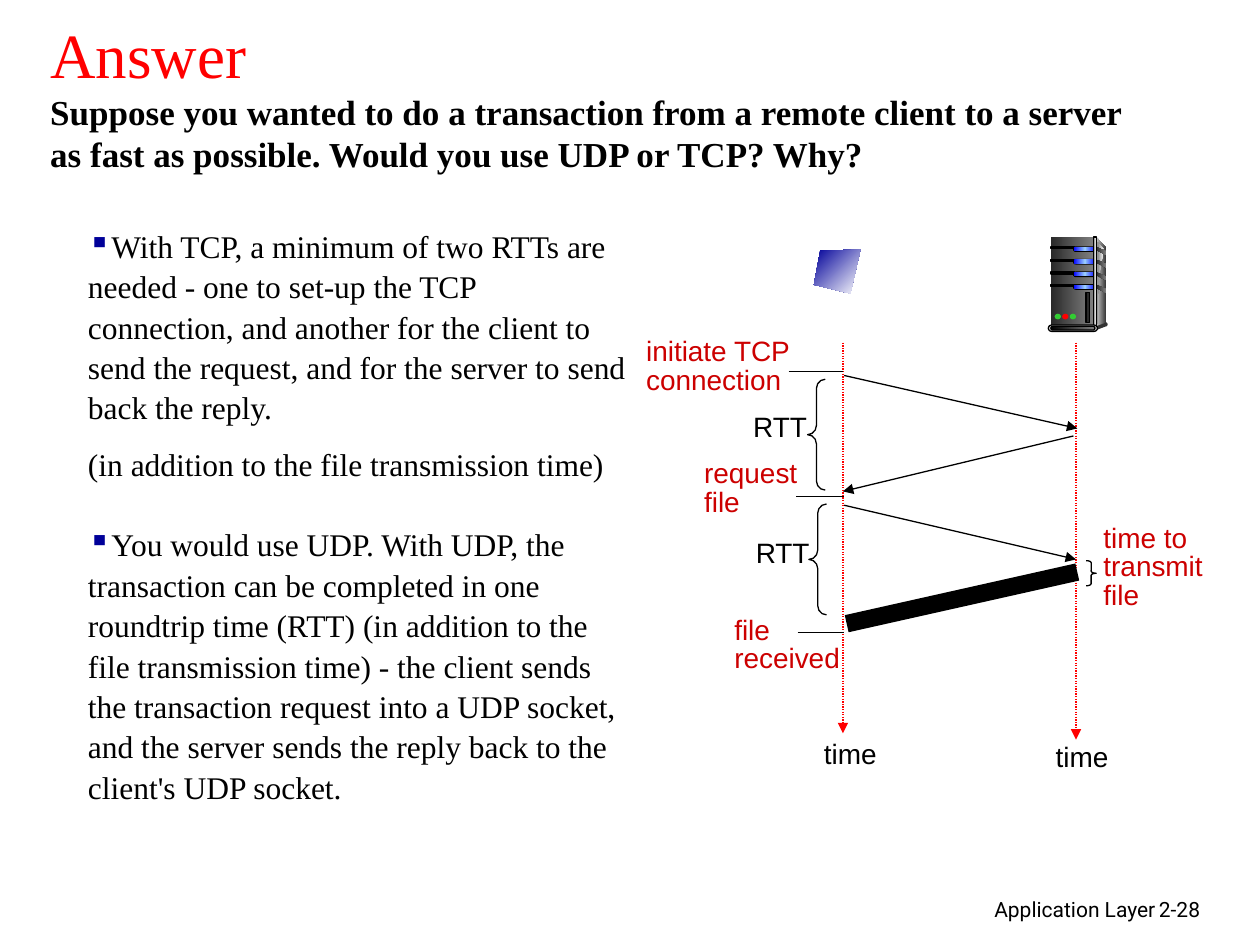
import dataclasses

import lxml.etree
import pptx
import pptx.dml.color
import pptx.enum.dml
import pptx.enum.shapes
import pptx.enum.text
import pptx.oxml.ns
import pptx.util

SHAPE = pptx.enum.shapes.MSO_SHAPE
ALIGN = pptx.enum.text.PP_ALIGN
qn = pptx.oxml.ns.qn


@dataclasses.dataclass(frozen=True)
class Theme:
    serif: str = "Times New Roman"
    sans: str = "Arial"
    footer_font: str = "Roboto"
    title: float = 36
    question: float = 20
    body: float = 18
    label: float = 16
    footer: float = 12
    hairline: float = 0.75
    ink: str = "000000"
    red: str = "FF0000"
    label_red: str = "CC0000"
    navy: str = "000099"
    green: str = "33CC33"
    dark: str = "333333"
    light: str = "DDDDDD"
    steel: tuple = ("292929", "808080")
    panel: tuple = ("DDDDDD", "333333")
    sheen: tuple = ("808080", "F8F8F8")
    base: tuple = ("000000", "808080")
    edge: tuple = ("333333", "DDDDDD", "333333")
    lamp: tuple = ("0000FF", "99CCFF", "0000FF")
    screen: tuple = ("000099", "FFFFFF")


T = Theme()


def grid(n):
    """Return the length of n cells of a grid of 100 columns by 75 rows."""
    return pptx.util.Inches(n / 10)


def rgb(color):
    """Return a colour object for a hex string."""
    return pptx.dml.color.RGBColor.from_string(color)


def add_run(p, text, font, size, color=T.ink, bold=False):
    """Add one formatted run to a paragraph."""
    r = p.add_run()
    r.text = text
    r.font.name, r.font.size, r.font.bold = font, pptx.util.Pt(size), bold
    r.font.color.rgb = rgb(color)


def add_box(s, x, y, w, h, wrap=True):
    """Add an empty text box and return its text frame."""
    tf = s.shapes.add_textbox(*map(grid, (x, y, w, h))).text_frame
    tf.word_wrap = wrap
    return tf


def add_label(s, x, y, w, h, lines, color=T.ink, spacing=0.85):
    """Add a diagram label with one paragraph per line."""
    tf = add_box(s, x, y, w, h, wrap=False)
    tf.auto_size = pptx.enum.text.MSO_AUTO_SIZE.SHAPE_TO_FIT_TEXT
    for i, line in enumerate(lines):
        p = tf.add_paragraph() if i else tf.paragraphs[0]
        p.line_spacing = spacing
        add_run(p, line, T.sans, T.label, color)


def add_bullet(p):
    """Give a paragraph a small square bullet."""
    pPr = p._p.get_or_add_pPr()
    pPr.set("marL", "0")
    pPr.set("indent", str(-pptx.util.Inches(0.38)))
    color = lxml.etree.SubElement(pPr, qn("a:buClr"))
    lxml.etree.SubElement(color, qn("a:srgbClr")).set("val", T.navy)
    lxml.etree.SubElement(pPr, qn("a:buChar")).set("char", "▪")


def paint(sp, fill=None, line=None, angle=0):
    """Set a shape's fill (none, solid or evenly spaced gradient) and outline."""
    sp.shadow.inherit = False
    if fill is None:
        sp.fill.background()
    elif isinstance(fill, str):
        sp.fill.solid()
        sp.fill.fore_color.rgb = rgb(fill)
    else:
        sp.fill.gradient()
        sp.fill.gradient_angle = -angle % 360
        stops = sp.element.spPr.find(".//" + qn("a:gsLst"))
        stops.clear()
        for i, color in enumerate(fill):
            stop = lxml.etree.SubElement(stops, qn("a:gs"))
            stop.set("pos", str(100000 * i // (len(fill) - 1)))
            lxml.etree.SubElement(stop, qn("a:srgbClr")).set("val", color)
    if line:
        sp.line.color.rgb = rgb(line)
        sp.line.width = pptx.util.Pt(T.hairline)
    else:
        sp.line.fill.background()


def add_preset(s, kind, x, y, w, h, fill=None, line=None, adj=()):
    """Add a preset shape."""
    sp = s.shapes.add_shape(kind, *map(grid, (x, y, w, h)))
    for i, value in enumerate(adj):
        sp.adjustments[i] = value
    paint(sp, fill, line)


def add_polygon(s, points, fill, angle=0):
    """Add a closed outline through grid points."""
    pts = [(grid(x), grid(y)) for x, y in points]
    builder = s.shapes.build_freeform(*pts[0])
    builder.add_line_segments(pts[1:], close=True)
    paint(builder.convert_to_shape(), fill, angle=angle)


def add_line(s, x1, y1, x2, y2, color=T.ink, width=T.hairline, arrow=False, dotted=False):
    """Add a straight line, optionally dotted or with an arrowhead at its end."""
    kind = pptx.enum.shapes.MSO_CONNECTOR.STRAIGHT
    c = s.shapes.add_connector(kind, *map(grid, (x1, y1, x2, y2)))
    c.line.color.rgb = rgb(color)
    c.line.width = pptx.util.Pt(width)
    if dotted:
        c.line.dash_style = pptx.enum.dml.MSO_LINE.ROUND_DOT
    if arrow:
        ln = c.line._get_or_add_ln()
        lxml.etree.SubElement(ln, qn("a:tailEnd")).set("type", "triangle")
    lxml.etree.SubElement(c.element.spPr, qn("a:effectLst"))


def draw_text(s):
    """Add the heading, the answer and the footer."""
    tf = add_box(s, 3, 2.5, 88.9, 10.1)
    tf.vertical_anchor = pptx.enum.text.MSO_ANCHOR.MIDDLE
    p = tf.paragraphs[0]
    add_run(p, "Answer", T.serif, T.title, T.red)
    p.add_line_break()
    add_run(p, "Suppose you wanted to do a transaction from a remote client to a server "
            "as fast as possible. Would you use UDP or TCP? Why?", T.serif, T.question, bold=True)

    answer = [
        (True, 0, "With TCP, a minimum of two RTTs are needed - one to set-up the TCP connection, "
         "and another for the client to send the request, and for the server to send back the reply."),
        (False, 9, "(in addition to the file transmission time)"),
        (True, 23, "You would use UDP. With UDP, the transaction can be completed in one roundtrip "
         "time (RTT) (in addition to the file transmission time) - the client sends the transaction "
         "request into a UDP socket, and the server sends the reply back to the client's UDP socket."),
    ]
    tf = add_box(s, 6, 17.3, 44.7, 52)
    for i, (bulleted, gap, text) in enumerate(answer):
        p = tf.add_paragraph() if i else tf.paragraphs[0]
        p.line_spacing = 1.07
        if gap:
            p.space_before = pptx.util.Pt(gap)
        if bulleted:
            add_bullet(p)
        add_run(p, text, T.serif, T.body)

    for x, w, align, text in ((61, 31.7, ALIGN.RIGHT, "Application Layer"),
                              (91, 7.4, ALIGN.LEFT, "2-28")):
        p = add_box(s, x, 70.7, w, 3).paragraphs[0]
        p.alignment = align
        add_run(p, text, T.footer_font, T.footer)


def draw_timeline(s):
    """Draw the message exchange between client and server."""
    for x, end in ((66.9, 58.2), (85.4, 58.7)):
        add_line(s, x, 27.2, x, end, T.red, arrow=True, dotted=True)
    for message in ((67, 29.8, 85.5, 34), (85.2, 34.6, 66.9, 39), (67, 40.1, 85.4, 44.4)):
        add_line(s, *message, arrow=True)
    add_line(s, 85.5, 45.4, 67.2, 49.5, width=10)
    for x1, x2, y in ((62.6, 66.9, 29.5), (63.2, 67, 39.4), (63.3, 67, 50.2)):
        add_line(s, x1, y, x2, y)
    for x, y in ((64.1, 30.1), (64.2, 40)):
        add_preset(s, SHAPE.LEFT_BRACE, x, y, 1.4, 8.8, line=T.ink, adj=(0.52, 0.5))
    add_preset(s, SHAPE.RIGHT_BRACE, 86.2, 44.5, 0.8, 2, line=T.ink, adj=(0.2, 0.5))

    add_label(s, 86.6, 41.2, 10.6, 7.8, ("time to", "transmit", "file"), T.label_red)
    add_label(s, 50.3, 26.4, 13.5, 5.6, ("initiate TCP", "connection"), T.label_red)
    add_label(s, 54.9, 36.1, 9.4, 5.6, ("request", "file"), T.label_red)
    add_label(s, 57.3, 48.5, 10.4, 5.6, ("file", "received"), T.label_red)
    add_label(s, 58.8, 32.4, 6.3, 3.3, ("RTT",))
    add_label(s, 59, 42.4, 6.3, 3.3, ("RTT",))
    add_label(s, 64.4, 58.4, 6.2, 3.3, ("time",))
    add_label(s, 82.8, 58.2, 6.2, 3.7, ("time",), spacing=1)


def draw_server(s):
    """Draw the server tower."""
    add_polygon(s, ((87, 18.8), (87.8, 19.7), (87.8, 25.6), (86.9, 25.9)), T.panel)
    add_preset(s, SHAPE.RECTANGLE, 83.4, 18.8, 3.4, 7.1, T.steel)
    add_polygon(s, ((87.1, 19.2), (87.6, 19.8), (87.3, 21.5), (87.1, 23.8), (87.1, 25.7)), T.sheen)
    for bay in range(4):
        y = 19.55 + bay
        add_preset(s, SHAPE.RECTANGLE, 83.4, y + 0.05, 1.9, 0.15, T.ink, T.ink)
        add_preset(s, SHAPE.ROUNDED_RECTANGLE, 85.15, y, 1.9, 0.45, T.ink, adj=(0.5,))
        add_preset(s, SHAPE.ROUNDED_RECTANGLE, 85.2, y + 0.05, 1.8, 0.33, T.lamp, adj=(0.5,))
        add_polygon(s, ((87, y + 0.05), (87.8, y + 0.4), (87.8, y + 0.7), (87, y + 0.3)), T.steel)
    add_preset(s, SHAPE.RECTANGLE, 86.8, 18.8, 0.2, 7.2, T.edge, T.ink)
    add_preset(s, SHAPE.OVAL, 87.7, 25.6, 0.2, 0.3, T.dark)
    add_polygon(s, ((87, 25.9), (87, 26.2), (87.8, 25.9), (87.8, 25.6)), T.dark)
    add_preset(s, SHAPE.ROUNDED_RECTANGLE, 83.2, 25.8, 3.9, 0.5, T.light, T.ink, (0.5,))
    add_preset(s, SHAPE.ROUNDED_RECTANGLE, 83.4, 25.9, 3.5, 0.3, T.base, T.ink, (0.5,))
    for i, color in enumerate((T.green, T.red, T.green)):
        add_preset(s, SHAPE.OVAL, 83.7 + 0.6 * i, 24.9, 0.5, 0.45, color)
    add_preset(s, SHAPE.RECTANGLE, 86.2, 23.2, 0.3, 2.4, T.steel[0], T.ink)


def main():
    """Build the slide and save it."""
    prs = pptx.Presentation()
    prs.slide_width, prs.slide_height = grid(100), grid(75)
    s = prs.slides.add_slide(prs.slide_layouts[6])
    draw_text(s)
    draw_timeline(s)
    draw_server(s)
    add_polygon(s, ((68.3, 19.8), (65.1, 19.9), (64.6, 22.6), (67.5, 23.3)), T.screen, angle=45)
    prs.save("out.pptx")


if __name__ == "__main__":
    main()
